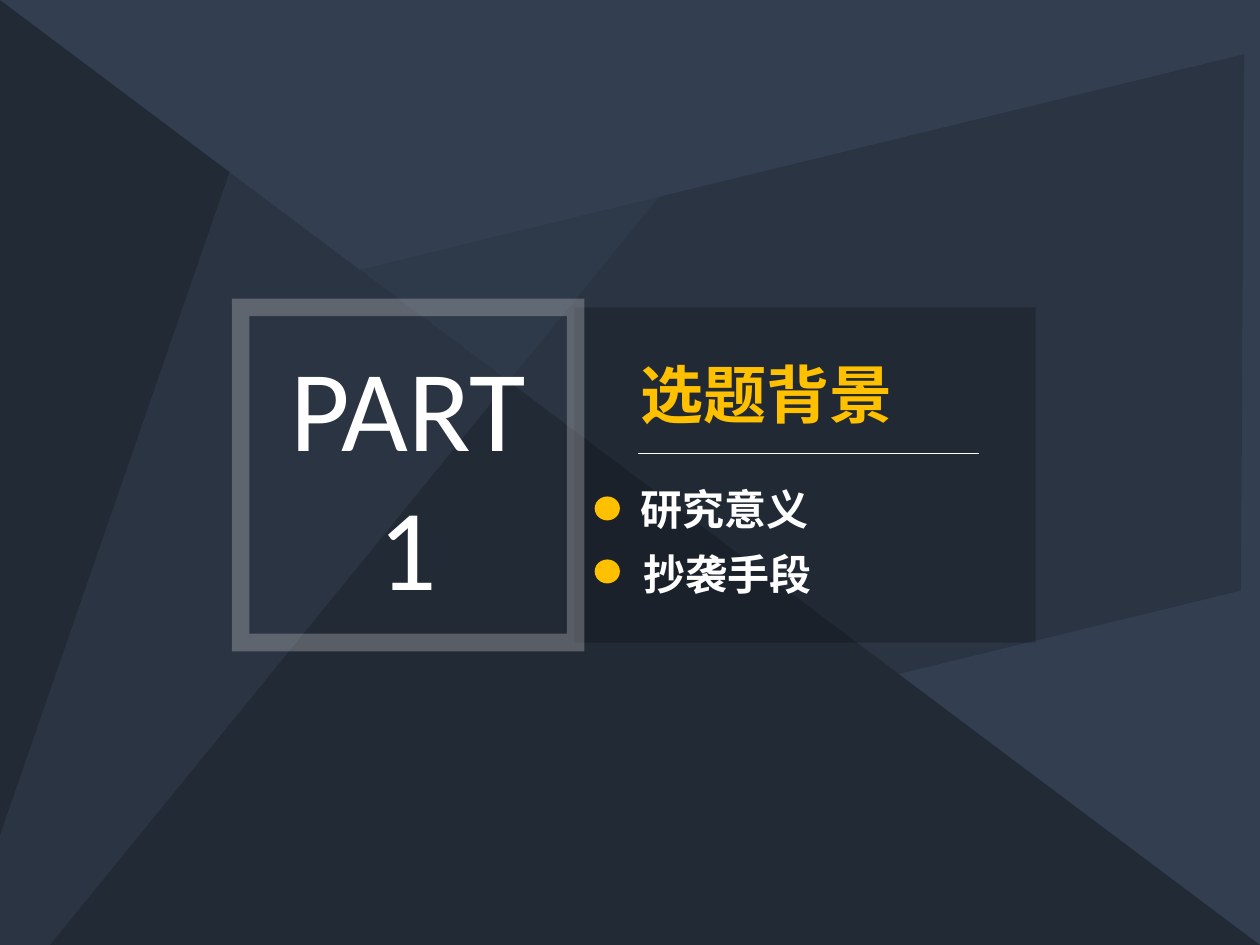
from dataclasses import dataclass
from typing import Optional

from lxml import etree
from pptx import Presentation
from pptx.dml.color import RGBColor
from pptx.enum.shapes import MSO_CONNECTOR, MSO_SHAPE
from pptx.enum.text import MSO_ANCHOR, MSO_AUTO_SIZE, PP_ALIGN
from pptx.oxml.ns import qn
from pptx.util import Inches, Pt

TRIANGLE = MSO_SHAPE.ISOSCELES_TRIANGLE
PARALLELOGRAM = MSO_SHAPE.PARALLELOGRAM
RECTANGLE = MSO_SHAPE.RECTANGLE
OVAL = MSO_SHAPE.OVAL
LEFT, CENTER = PP_ALIGN.LEFT, PP_ALIGN.CENTER

WIDTH, HEIGHT = 10, 7.5
TWO_CONTENT_LAYOUT = 3
LATIN, CHINESE = "Calibri", "Noto Sans CJK SC"
COLORS = {
    "slate": "333F50",
    "navy": "222A35",
    "black": "000000",
    "white": "FFFFFF",
    "silver": "D9D9D9",
    "amber": "FFC000",
}

PANEL_TOP, PANEL_SIDE = 2.44, 2.66
BADGE_LEFT, PANEL_LEFT = 1.91, 4.56
TEXT_LEFT, TEXT_WIDTH = 4.98, 2.82
DOT_LEFT, DOT_WIDTH, DOT_HEIGHT = 4.72, 0.2, 0.19


@dataclass
class Facet:
    kind: int
    at: tuple
    color: str
    opacity: int = 100
    rotation: float = 0
    adjustment: Optional[float] = None


@dataclass
class Item:
    text: str
    left: float
    top: float
    dot_top: float


FACETS = [
    Facet(TRIANGLE, (0, 0, WIDTH, HEIGHT), "navy", adjustment=0),
    Facet(PARALLELOGRAM, (-0.53, 1.68, 11.05, 4.13), "navy", 50, 346.3),
    Facet(TRIANGLE, (0.89, -1.16, 4.06, 11.12), "slate", 50, 199.1, 1),
    Facet(RECTANGLE, (PANEL_LEFT, PANEL_TOP, 3.66, PANEL_SIDE), "black", 20),
]
ITEMS = [
    Item("研究意义", TEXT_LEFT, 3.79, 3.94),
    Item("抄袭手段", TEXT_LEFT + 0.03, 4.3, 4.44),
]


def color(name: str) -> RGBColor:
    return RGBColor.from_string(COLORS[name])


def set_opacity(fill_parent, percent: int) -> None:
    tint = next(fill_parent.iter(qn("a:srgbClr")))
    etree.SubElement(tint, qn("a:alpha"), val=str(percent * 1000))


def add_facet(page, facet: Facet) -> None:
    shape = page.shapes.add_shape(facet.kind, *map(Inches, facet.at))
    shape.shadow.inherit = False
    shape.line.fill.background()
    shape.fill.solid()
    shape.fill.fore_color.rgb = color(facet.color)
    shape.rotation = facet.rotation
    if facet.adjustment is not None:
        shape.adjustments[0] = facet.adjustment
    if facet.opacity < 100:
        set_opacity(shape.fill._xPr, facet.opacity)


def add_badge_frame(page) -> None:
    sides = (BADGE_LEFT, PANEL_TOP, PANEL_SIDE, PANEL_SIDE)
    frame = page.shapes.add_shape(RECTANGLE, *map(Inches, sides))
    frame.shadow.inherit = False
    frame.fill.background()
    frame.line.width = Pt(10)
    frame.line.color.rgb = color("silver")
    outline = frame.line._get_or_add_ln()
    set_opacity(outline, 30)
    etree.SubElement(outline, qn("a:miter"), lim="800000")


def add_divider(page, left: float, right: float, top: float) -> None:
    divider = page.shapes.add_connector(
        MSO_CONNECTOR.STRAIGHT, *map(Inches, (left, top, right, top)))
    divider.line.width = Pt(0.5)
    divider.line.color.rgb = color("white")
    etree.SubElement(divider._element.spPr, qn("a:effectLst"))


def write(box, at: tuple, lines: list, size: float, tint: str,
          font: str = CHINESE, bold: bool = True, align=LEFT) -> None:
    """Place a text box or placeholder and fill it with unbulleted lines."""
    box.left, box.top, box.width, box.height = map(Inches, at)
    frame = box.text_frame
    frame.word_wrap = True
    frame.auto_size = MSO_AUTO_SIZE.SHAPE_TO_FIT_TEXT
    frame.vertical_anchor = MSO_ANCHOR.TOP
    frame.text = "\n".join(lines)
    for para in frame.paragraphs:
        properties = para._p.get_or_add_pPr()
        properties.set("marL", "0")
        properties.set("indent", "0")
        etree.SubElement(properties, qn("a:buNone"))
        para.alignment = align
        para.space_before = Pt(0)
        for span in para.runs:
            formats = {"size": Pt(size), "name": font, "bold": bold}
            for name, value in formats.items():
                setattr(span.font, name, value)
            span.font.color.rgb = color(tint)
            east_asian = etree.SubElement(span._r.get_or_add_rPr(), qn("a:ea"))
            east_asian.set("typeface", font)


def bring_to_front(page, box) -> None:
    page.shapes._spTree.append(box._element)


def main() -> None:
    deck = Presentation()
    deck.slide_width, deck.slide_height = Inches(WIDTH), Inches(HEIGHT)
    page = deck.slides.add_slide(deck.slide_layouts[TWO_CONTENT_LAYOUT])
    title, *bodies = list(page.placeholders)
    page.background.fill.solid()
    page.background.fill.fore_color.rgb = color("slate")

    for facet in FACETS:
        add_facet(page, facet)
    add_badge_frame(page)
    badge = page.shapes.add_textbox(0, 0, 0, 0)
    write(badge, (2.05, 2.62, 2.38, 2.32), ["PART", "1"], 66, "white",
          LATIN, False, CENTER)

    write(title, (TEXT_LEFT, 2.77, TEXT_WIDTH, 0.71), ["选题背景"], 36, "amber")
    bring_to_front(page, title)
    add_divider(page, 5.06, 7.77, 3.6)

    for item, body in zip(ITEMS, bodies):
        write(body, (item.left, item.top, TEXT_WIDTH, 0.5), [item.text], 24, "white")
        bring_to_front(page, body)
        dot = (DOT_LEFT, item.dot_top, DOT_WIDTH, DOT_HEIGHT)
        add_facet(page, Facet(OVAL, dot, "amber"))

    deck.save("out.pptx")


if __name__ == "__main__":
    main()
